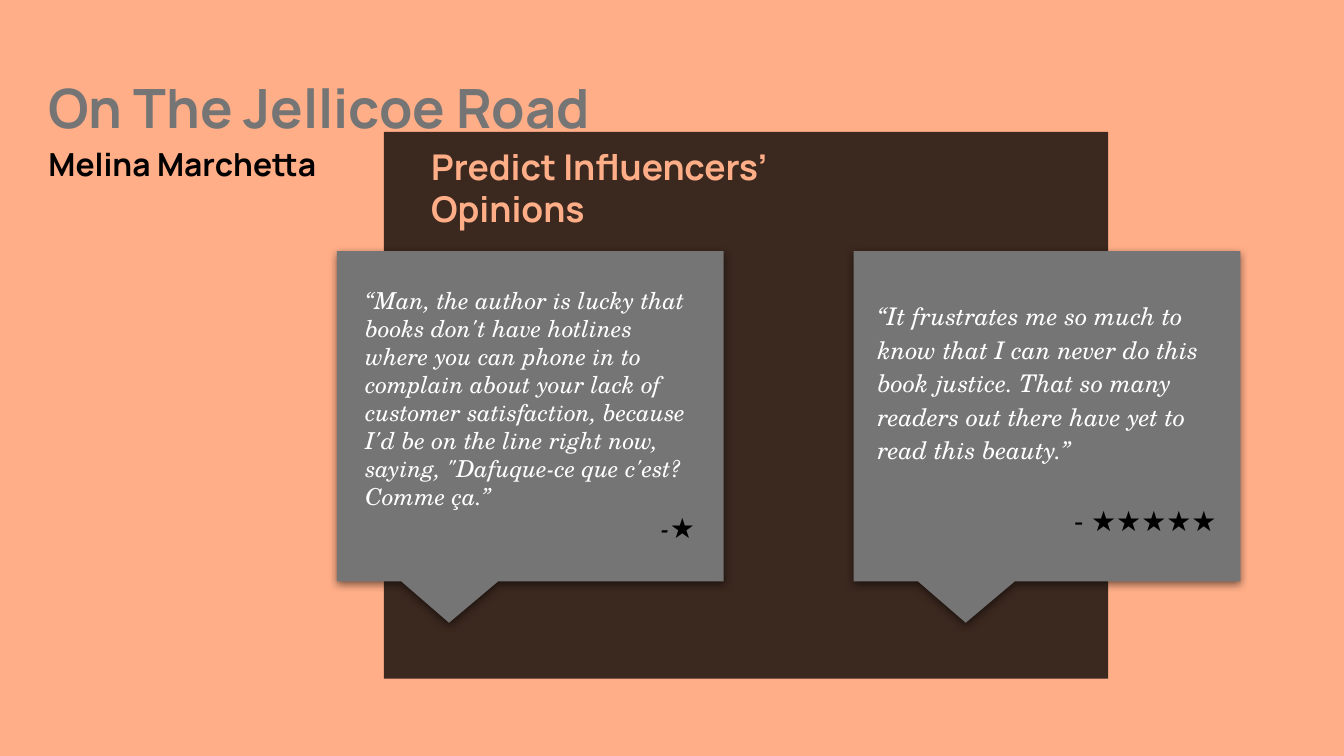
from dataclasses import dataclass

from lxml.etree import SubElement
from pptx import Presentation
from pptx.dml.color import RGBColor
from pptx.enum.shapes import MSO_SHAPE
from pptx.enum.text import MSO_ANCHOR, MSO_AUTO_SIZE, PP_ALIGN
from pptx.oxml.ns import qn
from pptx.util import Pt


@dataclass(frozen=True)
class Theme:
    peach: str = "FFAE88"
    grey: str = "757575"
    black: str = "000000"
    white: str = "FFFFFF"
    sans: str = "Manrope"
    serif: str = "TeX Gyre Schola"
    plain: str = "Arial"
    title: float = 29
    author: float = 17
    heading: float = 19
    stars: float = 15


def rgb(value):
    return RGBColor.from_string(value)


def apply(target, values):
    for name, value in values.items():
        setattr(target, name, value)


class SlideBuilder:
    def __init__(self, prs, theme):
        self.theme = theme
        self.slide = prs.slides.add_slide(prs.slide_layouts[5])
        fill = self.slide.background.fill
        fill.solid()
        fill.fore_color.rgb = rgb(theme.peach)

    def set_text(self, sp, paragraphs, anchor=MSO_ANCHOR.TOP,
                 fit=MSO_AUTO_SIZE.NONE):
        """Fill a text frame from (text, colour, font, layout) tuples."""
        tf = sp.text_frame
        inset = Pt(7.2)
        apply(tf, dict(word_wrap=True, auto_size=fit, vertical_anchor=anchor,
                       margin_left=inset, margin_right=inset,
                       margin_top=inset, margin_bottom=inset))
        for i, (text, colour, font, layout) in enumerate(paragraphs):
            p = tf.add_paragraph() if i else tf.paragraphs[0]
            apply(p, {"alignment": PP_ALIGN.LEFT, **layout})
            r = p.add_run()
            r.text = text
            apply(r.font, font)
            r.font.color.rgb = rgb(colour)

    def title(self, box, paragraphs):
        sp = self.slide.shapes.title
        apply(sp, dict(zip(("left", "top", "width", "height"), map(Pt, box))))
        self.set_text(sp, paragraphs, MSO_ANCHOR.BOTTOM)

    def text(self, box, paragraphs, **options):
        sp = self.slide.shapes.add_textbox(*map(Pt, box))
        self.set_text(sp, paragraphs, **options)

    def shape(self, kind, box, colour):
        sp = self.slide.shapes.add_shape(kind, *map(Pt, box))
        sp.shadow.inherit = False
        sp.fill.solid()
        sp.fill.fore_color.rgb = rgb(colour)
        sp.line.fill.background()
        return sp

    def panel(self, box, opacity):
        sp = self.shape(MSO_SHAPE.RECTANGLE, box, self.theme.black)
        colour = next(sp._element.spPr.iter(qn("a:srgbClr")))
        SubElement(colour, qn("a:alpha"), val=str(opacity * 1000))

    def callout(self, box):
        sp = self.shape(MSO_SHAPE.RECTANGULAR_CALLOUT, box, self.theme.grey)
        sp.adjustments[0], sp.adjustments[1] = -0.21, 0.625
        # Soft shadow straight below
        effects = sp._element.spPr.find(qn("a:effectLst"))
        shadow = SubElement(effects, qn("a:outerShdw"), blurRad=str(Pt(4.5)),
                            dist=str(Pt(1.5)), dir="5400000", algn="bl",
                            rotWithShape="0")
        colour = SubElement(shadow, qn("a:srgbClr"), val=self.theme.black)
        SubElement(colour, qn("a:alpha"), val="50000")


def main():
    prs = Presentation()
    prs.slide_width, prs.slide_height = Pt(720), Pt(405)
    t = Theme()
    s = SlideBuilder(prs, t)

    # Book title and author
    bold = dict(name=t.sans, bold=True)
    s.title((18.7, 51.1, 317.5, 54), [
        ("On The Jellicoe Road", t.grey, dict(bold, size=Pt(t.title)),
         dict(line_spacing=1.15)),
        ("Melina Marchetta", t.black, dict(bold, size=Pt(t.author)),
         dict(line_spacing=1.15, space_after=Pt(16))),
    ])

    # Dark panel with its heading
    s.panel((205.7, 70.6, 388, 293), 77)
    s.text((223.9, 70.6, 270, 59.8), [
        ("Predict Influencers’ Opinions", t.peach,
         dict(bold, size=Pt(t.heading)), {}),
    ], anchor=MSO_ANCHOR.BOTTOM)

    # Speech bubbles
    for left in (180.5, 457.3):
        s.callout((left, 134.6, 207.2, 176.9))

    # Quotes with their star ratings
    italic = dict(name=t.serif, italic=True)
    upright = dict(name=t.plain, italic=False)
    quotes = [
        ((188.6, 146.2, 190.8, 154), 12.5, 1.0, 0,
         "“Man, the author is lucky that books don't have hotlines where you "
         "can phone in to complain about your lack of customer satisfaction, "
         "because I'd be on the line right now, saying, \"Dafuque-ce que "
         "c'est? Comme ça.”", "-★", italic),
        ((463, 151.9, 195.8, 141), 13, 1.15, 18,
         "“It frustrates me so much to know that I can never do this book "
         "justice. That so many readers out there have yet to read this "
         "beauty.”", "- ★★★★★", upright),
    ]
    for box, size, spacing, gap, quote, stars, star_font in quotes:
        s.text(box, [
            (quote, t.white, dict(italic, size=Pt(size)),
             dict(line_spacing=spacing)),
            (stars, t.black, dict(star_font, size=Pt(t.stars)),
             dict(line_spacing=spacing, space_before=Pt(gap),
                  alignment=PP_ALIGN.RIGHT)),
        ], fit=MSO_AUTO_SIZE.SHAPE_TO_FIT_TEXT)

    prs.save("out.pptx")


if __name__ == "__main__":
    main()
